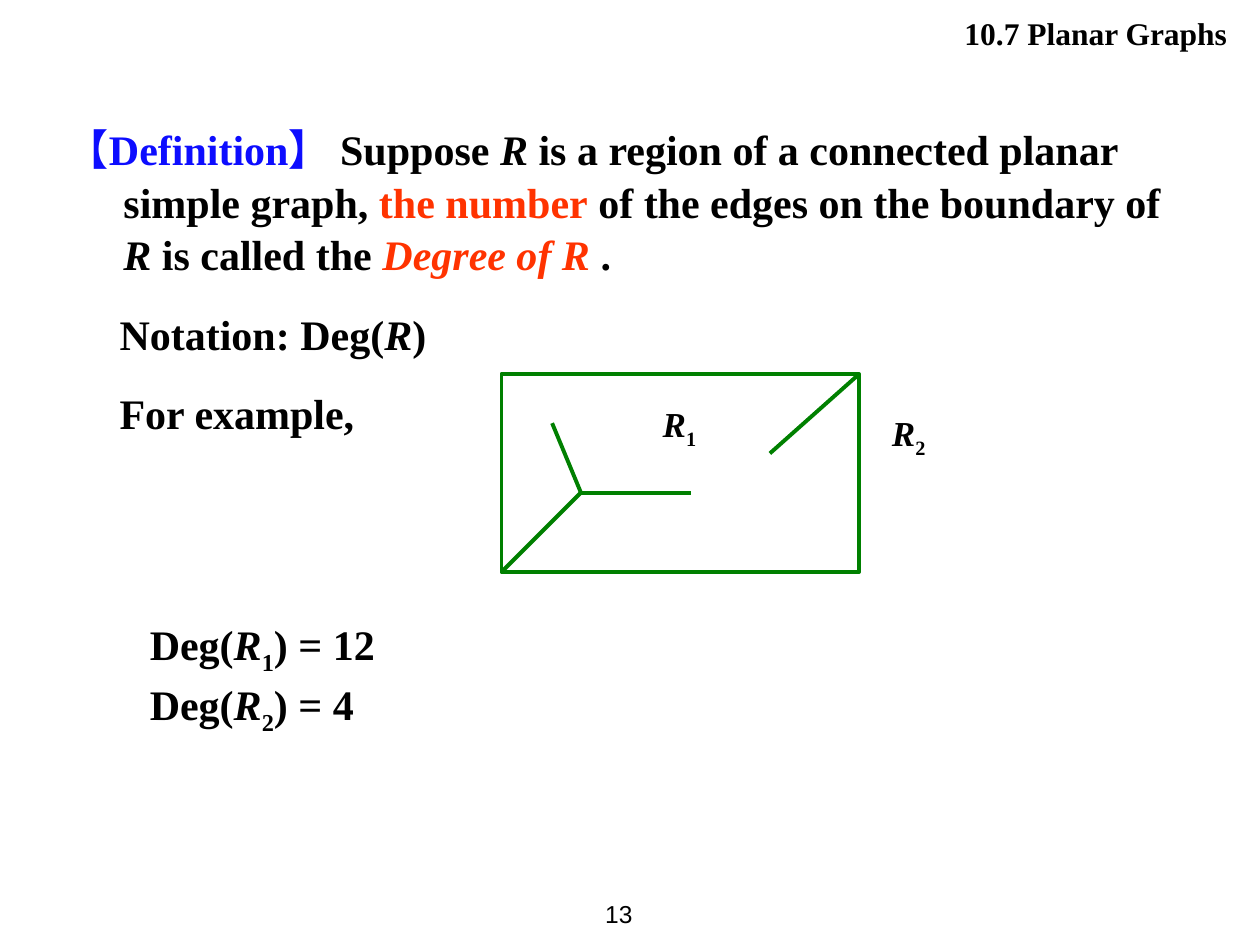
from pptx import Presentation
from pptx.dml.color import RGBColor
from pptx.enum.shapes import MSO_CONNECTOR, MSO_SHAPE
from pptx.enum.text import MSO_ANCHOR, PP_ALIGN
from pptx.oxml.ns import qn
from pptx.util import Cm, Pt
from lxml import etree

LEFT, RIGHT = PP_ALIGN.LEFT, PP_ALIGN.RIGHT
TOP, MIDDLE = MSO_ANCHOR.TOP, MSO_ANCHOR.MIDDLE
STRAIGHT, RECTANGLE = MSO_CONNECTOR.STRAIGHT, MSO_SHAPE.RECTANGLE
COLOURS = {"black": "000000", "blue": "0D0DFF", "red": "FF3300", "green": "008000"}


class SlideBuilder:
    font_name = "Times New Roman"
    line_width = Pt(2.25)
    line_spacing = 1.05

    def __init__(self, slide):
        self.slide = slide
        self.shapes = slide.shapes

    def start_group(self):
        self.shapes = self.slide.shapes.add_group_shape().shapes

    def end_group(self):
        self.shapes = self.slide.shapes

    def text(self, box, paragraphs, size=24, bold=True, font_name=None,
             align=LEFT, anchor=TOP, space_before=0, indents=()):
        frame = self.shapes.add_textbox(*map(Cm, box)).text_frame
        frame.word_wrap = True
        frame.vertical_anchor = anchor
        for index, pieces in enumerate(paragraphs):
            paragraph = frame.add_paragraph() if index else frame.paragraphs[0]
            paragraph.alignment = align
            paragraph.line_spacing = self.line_spacing
            if index and space_before:
                paragraph.space_before = Pt(space_before)
            if indents:
                margin, first_line = indents[index]
                properties = paragraph._p.get_or_add_pPr()
                properties.set("marL", str(Cm(margin)))
                properties.set("indent", str(Cm(first_line)))
            for content, *styles in pieces:
                run = paragraph.add_run()
                run.text = content
                font = run.font
                font.name = font_name or self.font_name
                font.size = Pt(size)
                font.bold = bold
                font.italic = "italic" in styles
                colour = next((style for style in styles if style in COLOURS), "black")
                font.color.rgb = RGBColor.from_string(COLOURS[colour])
                if "subscript" in styles:
                    run._r.get_or_add_rPr().set("baseline", "-25000")

    def outline(self, line):
        line.color.rgb = RGBColor.from_string(COLOURS["green"])
        line.width = self.line_width

    def rectangle(self, box):
        shape = self.shapes.add_shape(RECTANGLE, *map(Cm, box))
        shape.shadow.inherit = False
        shape.fill.background()
        self.outline(shape.line)

    def edge(self, start, end):
        connector = self.shapes.add_connector(STRAIGHT, *map(Cm, start + end))
        self.outline(connector.line)
        etree.SubElement(connector._element.spPr, qn("a:effectLst"))


def region(number):
    return [("R", "italic"), (number, "subscript")]


def degree(number, value):
    return [("Deg(",), *region(number), (f") = {value}",)]


def main():
    presentation = Presentation()
    presentation.slide_width = Cm(25.4)
    presentation.slide_height = Cm(19.05)
    builder = SlideBuilder(presentation.slides.add_slide(presentation.slide_layouts[6]))

    builder.text((11.3, 17.78, 1.7, 1.27), [[("13",)]], size=14, bold=False,
                 font_name="Arial", align=RIGHT, anchor=MIDDLE)
    definition = [
        ("【Definition】 ", "blue"),
        ("Suppose ",),
        ("R", "italic"),
        (" is a region of a connected planar simple graph, ",),
        ("the number", "red"),
        (" of the edges on the boundary of ",),
        ("R", "italic"),
        (" is called the ",),
        ("Degree of R ", "red", "italic"),
        (".",),
    ]
    notation = [("Notation: Deg(",), ("R", "italic"), (")",)]
    builder.text((0.89, 2.31, 23.01, 6.4), [definition, notation, [("For example,",)]],
                 space_before=15, indents=((1.35, -1.14), (1.27, 0), (1.27, 0)))

    left, top, width, height = graph = (10.11, 7.54, 7.21, 3.99)
    hub = (11.71, 9.93)
    builder.start_group()
    builder.rectangle(graph)
    for end in ((left, top + height), (11.13, 8.53), (13.92, 9.93)):
        builder.edge(hub, end)
    builder.edge((left + width, top), (15.52, 9.14))
    for number, x, y in (("1", 13.11, 7.95), ("2", 17.73, 8.13)):
        builder.text((x, y, 1.8, 1.22), [region(number)], size=20)
    builder.end_group()

    builder.text((2.77, 12.29, 14.5, 2.57), [degree("1", 12), degree("2", 4)])
    builder.text((10.11, 0.13, 14.88, 1.06), [[("10.7 Planar Graphs",)]],
                 size=18, align=RIGHT)
    presentation.save("out.pptx")


if __name__ == "__main__":
    main()
